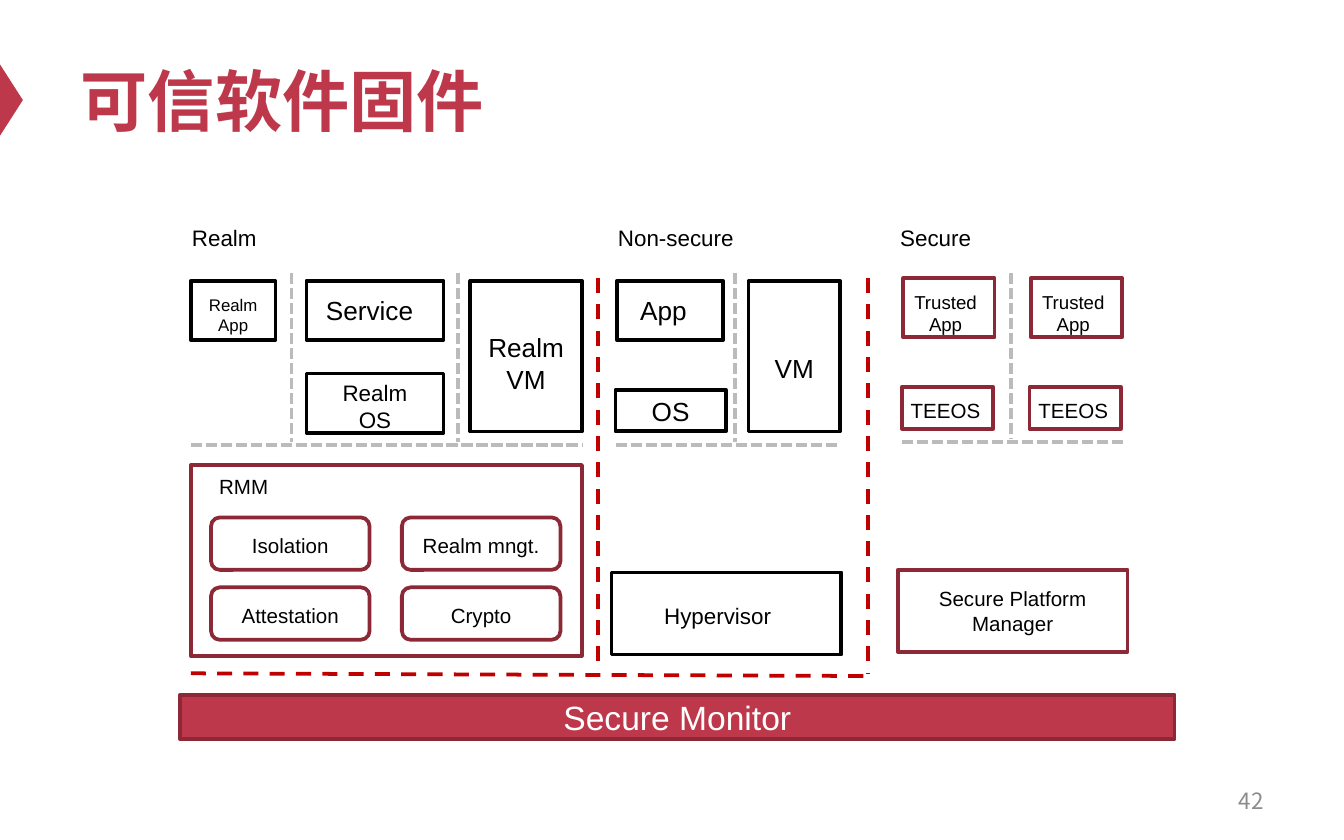
from collections import namedtuple

from lxml import etree
from pptx import Presentation
from pptx.dml.color import RGBColor
from pptx.enum.dml import MSO_LINE
from pptx.enum.shapes import MSO_CONNECTOR, MSO_SHAPE
from pptx.enum.text import MSO_ANCHOR, PP_ALIGN
from pptx.oxml.ns import qn
from pptx.util import Inches, Pt

RED = RGBColor(0xBE, 0x38, 0x4B)
MAROON = RGBColor(0x8D, 0x29, 0x37)
BORDER_RED = RGBColor(0xC0, 0x00, 0x00)
BLACK = RGBColor(0x00, 0x00, 0x00)
WHITE = RGBColor(0xFF, 0xFF, 0xFF)
GRAY = RGBColor(0xBB, 0xBB, 0xBB)
NUMBER_GRAY = RGBColor(0x8C, 0x8C, 0x8C)

RECT, ROUNDED, TRIANGLE = MSO_SHAPE.RECTANGLE, MSO_SHAPE.ROUNDED_RECTANGLE, MSO_SHAPE.ISOSCELES_TRIANGLE
LEFT, CENTER, RIGHT = PP_ALIGN.LEFT, PP_ALIGN.CENTER, PP_ALIGN.RIGHT
TOP, MIDDLE = MSO_ANCHOR.TOP, MSO_ANCHOR.MIDDLE
DASH, SHORT_DASH = MSO_LINE.DASH, MSO_LINE.SQUARE_DOT
STRAIGHT = MSO_CONNECTOR.STRAIGHT

LATIN, CJK = "Arial", "Noto Sans CJK SC"


class Box(namedtuple("Box", "left top width height")):
    """Rectangle in inches."""

    def inner(self, dx, dy, width, height):
        return Box(self.left + dx, self.top + dy, width, height)

    def emu(self):
        return [Inches(length) for length in self]


def write(frame, text, size, color=BLACK, font=LATIN, bold=False, align=CENTER,
          anchor=MIDDLE, insets=(0, 0, 0, 0), wrap=True):
    """Fill a text frame, one paragraph a line; insets are left, top, right, bottom."""
    frame.word_wrap = wrap
    frame.vertical_anchor = anchor
    (frame.margin_left, frame.margin_top,
     frame.margin_right, frame.margin_bottom) = [Inches(inset) for inset in insets]
    for index, line in enumerate(text.split("\n")):
        paragraph = frame.paragraphs[0] if index == 0 else frame.add_paragraph()
        paragraph.alignment = align
        run = paragraph.add_run()
        run.text = line
        run.font.size, run.font.bold, run.font.name = Pt(size), bold, font
        run.font.color.rgb = color
        east_asian = etree.SubElement(run._r.get_or_add_rPr(), qn("a:ea"))
        east_asian.set("typeface", CJK)


def add_label(slide, box, text, size, **text_format):
    write(slide.shapes.add_textbox(*box.emu()).text_frame, text, size, **text_format)


def add_block(slide, box, text="", size=11, line=MAROON, fill=None, kind=RECT, **text_format):
    shape = slide.shapes.add_shape(kind, *box.emu())
    shape.shadow.inherit = False
    if fill is None:
        shape.fill.background()
    else:
        shape.fill.solid()
        shape.fill.fore_color.rgb = fill
    if line is None:
        shape.line.fill.background()
    else:
        shape.line.color.rgb = line
        shape.line.width = Pt(2)
    if text:
        write(shape.text_frame, text, size, **text_format)
    return shape


def add_divider(slide, start, end, color=GRAY, dash=SHORT_DASH):
    divider = slide.shapes.add_connector(
        STRAIGHT, *[Inches(length) for length in (*start, *end)])
    divider.line.color.rgb = color
    divider.line.width = Pt(2)
    divider.line.dash_style = dash
    etree.SubElement(divider._element.spPr, qn("a:effectLst"))


def add_columns(slide, box, separators):
    """Vertical separators at the given offsets above a floor line."""
    for dx in separators:
        x = box.left + dx
        add_divider(slide, (x, box.top), (x, box.top + box.height - 0.02))
    floor = box.top + box.height
    add_divider(slide, (box.left, floor), (box.left + box.width, floor))


def add_heading(slide, box):
    marker = add_block(slide, box.inner(-0.68, 0.41, 0.53, 0.17), line=None, fill=RED, kind=TRIANGLE)
    marker.rotation = 90
    title = slide.shapes.title
    title.left, title.top, title.width, title.height = box.emu()
    write(title.text_frame, "可信软件固件", 36, color=RED, bold=True, align=LEFT,
          insets=(0.1, 0.05, 0.1, 0.05))


def add_realm(slide, box):
    add_label(slide, box.inner(-0.09, 0, 0.69, 0.3), "Realm", 12, align=LEFT,
              insets=(0.1, 0.03, 0, 0), wrap=False)
    dark = {"line": BLACK, "fill": WHITE}
    add_block(slide, box.inner(0, 0.49, 0.63, 0.44), "Realm\nApp", 9, insets=(0, 0.07, 0, 0), **dark)
    add_block(slide, box.inner(0.86, 0.49, 1.02, 0.44), "Service", 14, insets=(0, 0, 0.08, 0), **dark)
    add_block(slide, box.inner(0.86, 1.18, 1.02, 0.44), "Realm\nOS", 12, insets=(0, 0.04, 0, 0), **dark)
    add_block(slide, box.inner(2.08, 0.49, 0.83, 1.12), "Realm\nVM", 14, insets=(0, 0.1, 0, 0), **dark)
    add_columns(slide, box.inner(0, 0.43, box.width, 1.28), (0.75, 1.99))
    add_rmm(slide, box.inner(0, 1.86, box.width, 1.42))


def add_rmm(slide, box):
    add_block(slide, box, "RMM", align=LEFT, anchor=TOP, insets=(0.21, 0.07, 0, 0))
    services = ("Isolation", "Realm mngt.", "Attestation", "Crypto")
    for index, service in enumerate(services):
        row, column = divmod(index, 2)
        add_block(slide, box.inner(0.15 + 1.42 * column, 0.39 + 0.52 * row, 1.18, 0.39),
                  service, kind=ROUNDED, insets=(0, 0.03, 0, 0))


def add_non_secure(slide, box):
    add_label(slide, box.inner(-0.08, 0, 1.07, 0.3), "Non-secure", 12, align=LEFT,
              insets=(0.1, 0.03, 0, 0), wrap=False)
    dark = {"line": BLACK, "fill": WHITE}
    add_block(slide, box.inner(0.01, 0.49, 0.79, 0.44), "App", 14, insets=(0, 0, 0.1, 0), **dark)
    add_block(slide, box.inner(0, 1.3, 0.82, 0.31), "OS", 14, **dark)
    add_block(slide, box.inner(0.99, 0.49, 0.68, 1.12), "VM", 14, insets=(0, 0.17, 0, 0), **dark)
    add_columns(slide, box.inner(0, 0.43, box.width, 1.28), (0.89,))
    add_block(slide, box.inner(-0.03, 2.66, 1.71, 0.61), "Hypervisor", 12,
              insets=(0, 0.03, 0.13, 0), **dark)


def add_secure(slide, box):
    add_label(slide, box.inner(-0.11, 0, 0.73, 0.3), "Secure", 12, align=LEFT,
              insets=(0.1, 0.03, 0, 0), wrap=False)
    for dx in (0, 0.95):
        add_block(slide, box.inner(dx + 0.01, 0.47, 0.68, 0.44), "Trusted\nApp", 10,
                  insets=(0, 0.08, 0.05, 0))
        add_block(slide, box.inner(dx, 1.28, 0.68, 0.31), "TEEOS", insets=(0, 0.04, 0.03, 0))
    add_columns(slide, box.inner(0, 0.43, box.width, 1.26), (0.81,))
    add_block(slide, box.inner(-0.03, 2.64, 1.71, 0.61), "Secure Platform\nManager")


def add_world_borders(slide, box, first_border):
    """Dashed red borders between the three worlds and the monitor."""
    right, bottom = box.left + box.width, box.top + box.height
    for x in (box.left + first_border, right):
        add_divider(slide, (x, box.top), (x, bottom), BORDER_RED, DASH)
    add_divider(slide, (box.left, bottom), (right, bottom + 0.02), BORDER_RED, DASH)


def main():
    deck = Presentation()
    deck.slide_width, deck.slide_height = Inches(10), Inches(6.25)
    slide = deck.slides.add_slide(deck.slide_layouts[5])

    add_heading(slide, Box(0.5, 0.25, 9, 0.98))
    add_realm(slide, Box(1.42, 1.6, 2.91, 3.28))
    add_non_secure(slide, Box(4.58, 1.6, 1.67, 3.28))
    add_secure(slide, Box(6.71, 1.6, 1.67, 3.28))
    add_world_borders(slide, Box(1.42, 2.07, 5.04, 2.94), first_border=3.03)
    add_block(slide, Box(1.34, 5.17, 7.4, 0.33), "Secure Monitor", 18, fill=RED, color=WHITE)
    add_label(slide, Box(7.17, 5.79, 2.33, 0.33), "42", 12, color=NUMBER_GRAY, font=CJK,
              align=RIGHT, insets=(0.1, 0.05, 0.1, 0.05))

    deck.save("out.pptx")


if __name__ == "__main__":
    main()
